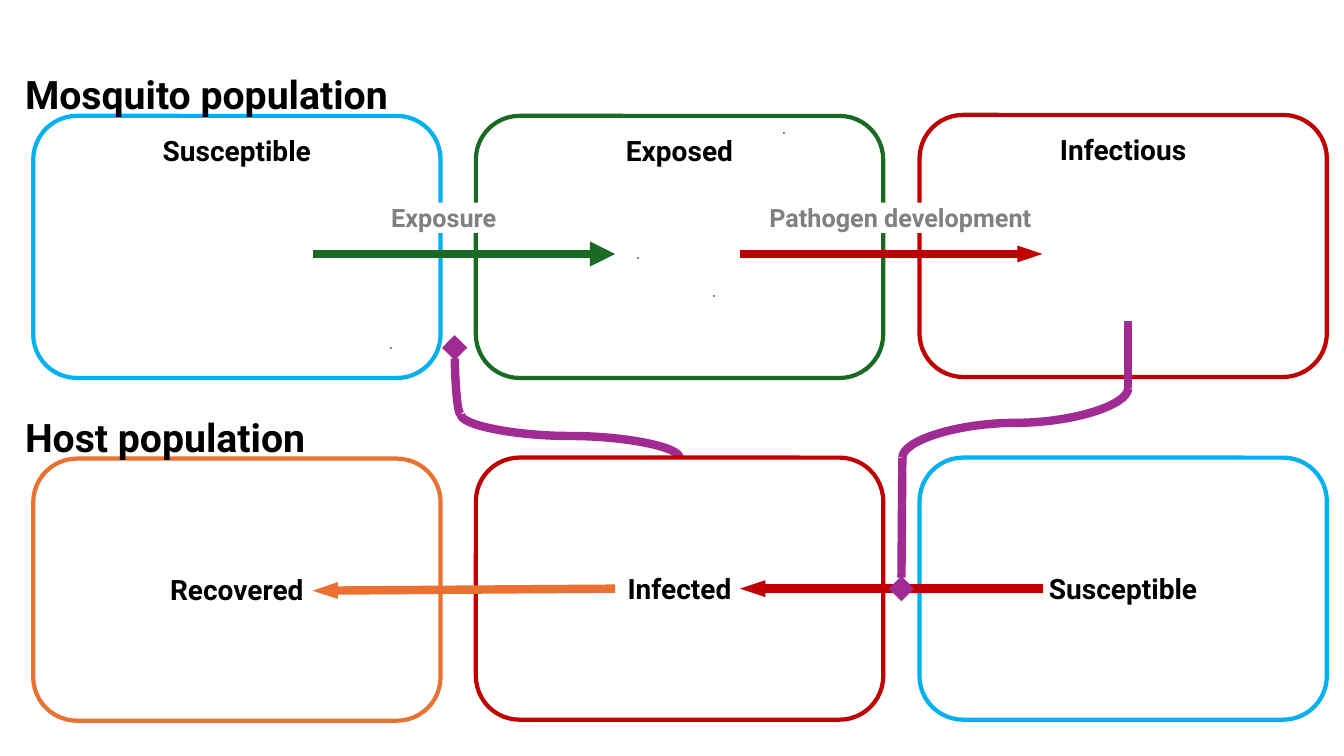
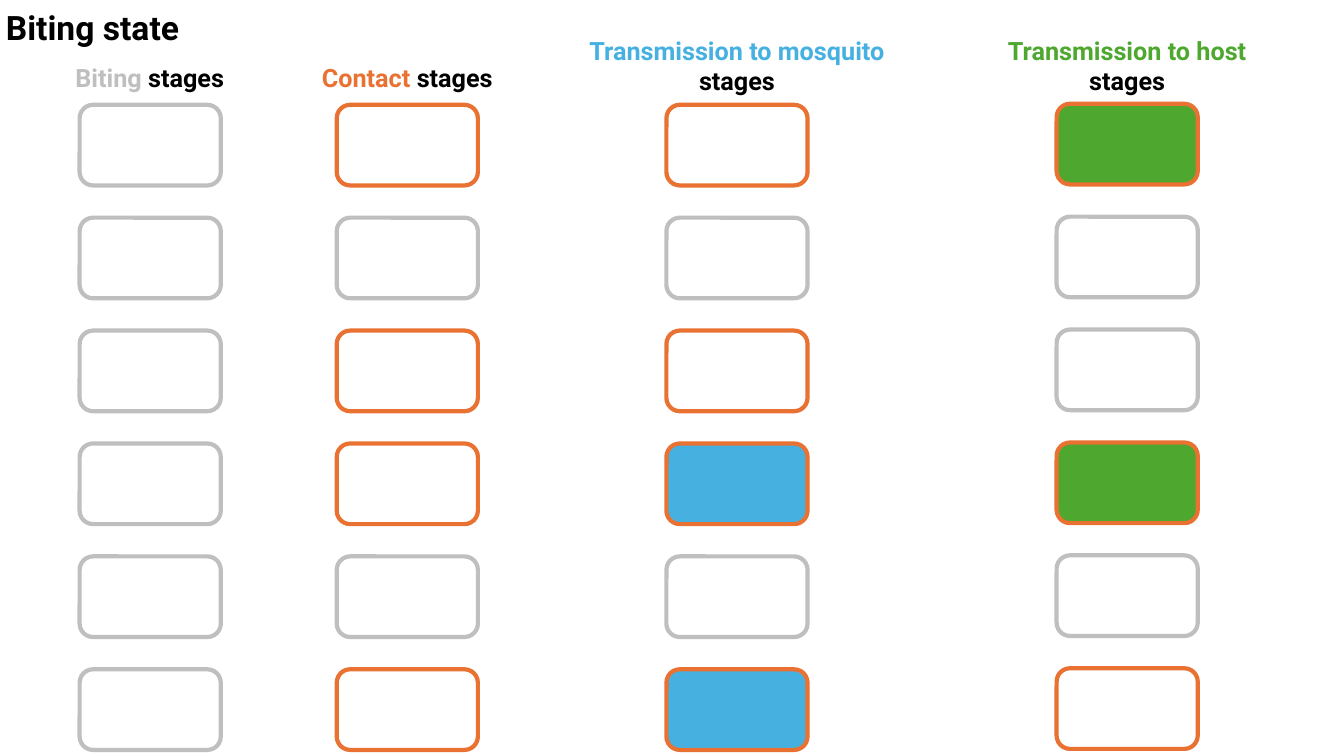
from lxml import etree
from pptx import Presentation
from pptx.dml.color import RGBColor
from pptx.enum.shapes import MSO_CONNECTOR, MSO_SHAPE
from pptx.enum.text import MSO_ANCHOR, MSO_AUTO_SIZE, PP_ALIGN
from pptx.oxml.ns import qn
from pptx.util import Inches, Pt

ROUNDED, RECTANGLE = MSO_SHAPE.ROUNDED_RECTANGLE, MSO_SHAPE.RECTANGLE
STRAIGHT, CURVE = MSO_CONNECTOR.STRAIGHT, MSO_CONNECTOR.CURVE
TOP, MIDDLE = MSO_ANCHOR.TOP, MSO_ANCHOR.MIDDLE
LEFT, CENTER = PP_ALIGN.LEFT, PP_ALIGN.CENTER

FONT = "Roboto"
BLACK, WHITE, GRAY, SILVER = "000000", "FFFFFF", "808080", "BFBFBF"
RED, ORANGE, PURPLE = "C00000", "E97132", "A02B93"
SKY, BLUE, GREEN, DARK_GREEN, NAVY = "00B0F0", "46B1E1", "4EA72E", "196B24", "092A39"


def add_box(shapes, kind, place, runs=(), size=20, fill=None, line=None, width=3,
            align=CENTER, anchor=TOP, wrap=True, inset=None):
    """Add a shape, or a text box if kind is None; runs are (text, colour) pairs."""
    place = [Inches(value) for value in place]
    if kind is None:
        shape = shapes.add_textbox(*place)
    else:
        shape = shapes.add_shape(kind, *place)
        shape.shadow.inherit = False
        if fill:
            shape.fill.solid()
            shape.fill.fore_color.rgb = RGBColor.from_string(fill)
        else:
            shape.fill.background()
        if line:
            shape.line.color.rgb = RGBColor.from_string(line)
            shape.line.width = Pt(width)
        else:
            shape.line.fill.background()
    if not runs:
        return
    frame = shape.text_frame
    frame.word_wrap = wrap
    frame.vertical_anchor = anchor
    if kind != ROUNDED:
        frame.auto_size = MSO_AUTO_SIZE.SHAPE_TO_FIT_TEXT
    if inset is not None:
        for side in ("left", "top", "right", "bottom"):
            setattr(frame, f"margin_{side}", Inches(inset))
    paragraph = frame.paragraphs[0]
    paragraph.alignment = align
    for text, color in runs:
        run = paragraph.add_run()
        run.text = text
        for name, value in {"name": FONT, "size": Pt(size), "bold": True}.items():
            setattr(run.font, name, value)
        run.font.color.rgb = RGBColor.from_string(color)


def add_line(shapes, start, end, color, head=None, head_width="med", kind=STRAIGHT,
             upright=False, preset=None):
    """Add a connector; an upright curve leaves and arrives vertically."""
    (x1, y1), (x2, y2) = start, end
    if upright:
        # Turn the end points a quarter back; the rotation below restores them.
        middle_x, middle_y = (x1 + x2) / 2, (y1 + y2) / 2
        half_x, half_y = (x1 - x2) / 2, (y1 - y2) / 2
        x1, y1 = middle_x + half_y, middle_y - half_x
        x2, y2 = middle_x - half_y, middle_y + half_x
    connector = shapes.add_connector(kind, Inches(x1), Inches(y1), Inches(x2), Inches(y2))
    connector.line.color.rgb = RGBColor.from_string(color)
    connector.line.width = Pt(6)
    properties = connector._element.spPr
    if upright:
        properties.find(qn("a:xfrm")).set("rot", str(90 * 60000))
    if preset:
        properties.find(qn("a:prstGeom")).set("prst", preset)
    if head:
        etree.SubElement(properties.find(qn("a:ln")), qn("a:tailEnd"),
                         type=head, w=head_width, len="med")
    etree.SubElement(properties, qn("a:effectLst"))


presentation = Presentation()
presentation.slide_width, presentation.slide_height = Inches(13.33), Inches(7.5)
blank = presentation.slide_layouts[6]

# Slide 1: mosquito and host compartments
shapes = presentation.slides.add_slide(blank).shapes
add_line(shapes, (6.74, 4.54), (4.57, 4.11), PURPLE, kind=CURVE, upright=True)

host_states = [
    (4.72, 4.54, "Infected", RED),
    (9.12, 4.54, "Susceptible", SKY),
    (0.33, 4.55, "Recovered", ORANGE),
]
mosquito_states = [
    (0.33, 1.15, "Susceptible", SKY),
    (4.72, 1.15, "Exposed", DARK_GREEN),
    (9.12, 1.14, "Infectious", RED),
]
for states, fill, anchor in ((host_states, WHITE, MIDDLE), (mosquito_states, None, TOP)):
    for left, top, name, color in states:
        add_box(shapes, ROUNDED, (left, top, 4.04, 2.6), [(name, BLACK)],
                fill=fill, line=color, anchor=anchor)

for top, title in ((0.65, "Mosquito population"), (4.05, "Host population")):
    add_box(shapes, None, (0.15, top, 3.9, 0.57), [(title, BLACK)], size=28,
            align=LEFT, wrap=False)

for start, end, color, head_width in (
    ((10.34, 5.84), (7.34, 5.84), RED, "sm"),
    ((6.1, 5.84), (3.1, 5.86), ORANGE, "sm"),
    ((3.1, 2.52), (6.1, 2.52), DARK_GREEN, "med"),
    ((7.34, 2.52), (10.34, 2.52), RED, "sm"),
):
    add_line(shapes, start, end, color, "triangle", head_width)

add_line(shapes, (8.95, 4.54), (8.94, 5.84), PURPLE, "diamond")
add_line(shapes, (8.95, 4.54), (11.19, 3.85), PURPLE, kind=CURVE, upright=True)
add_line(shapes, (11.19, 3.85), (11.19, 3.18), PURPLE)
add_line(shapes, (4.57, 4.11), (4.51, 3.45), PURPLE, "diamond", kind=CURVE,
         preset="curvedConnector2")

for left, width, label in ((3.88, 1.09, "Exposure"), (7.63, 2.71, "Pathogen development")):
    add_box(shapes, RECTANGLE, (left, 2.01, width, 0.3), [(label, GRAY)], size=18,
            fill=WHITE, align=LEFT, inset=0)

for left, top in ((7.78, 1.32), (3.88, 3.45), (6.33, 2.56), (7.08, 2.94)):
    add_box(shapes, RECTANGLE, (left, top, 0, 0), line=NAVY, width=1.5)

# Slide 2: stages of the biting state
shapes = presentation.slides.add_slide(blank).shapes
add_box(shapes, None, (-0.04, 0.02, 1.99, 0.5), [("Biting state", BLACK)], size=24,
        align=LEFT, wrap=False)

# Heading, its colour and place, box left and top, contact rows, filled rows
stage_columns = [
    ("Biting ", SILVER, (0.63, 0.57, 1.71, 0.4), 0.79, 1.04, (), ()),
    ("Contact ", ORANGE, (3.07, 0.57, 1.94, 0.4), 3.34, 1.04, (0, 2, 3, 5), ()),
    ("Transmission to mosquito ", BLUE, (5.74, 0.3, 3.14, 0.71), 6.61, 1.04,
     (0, 2, 3, 5), (3, 5)),
    ("Transmission to host ", GREEN, (9.61, 0.3, 3.14, 0.71), 10.48, 1.03,
     (0, 3, 5), (0, 3)),
]
for heading, color, place, left, top, contact_rows, filled_rows in stage_columns:
    column = shapes.add_group_shape().shapes
    add_box(column, None, place, [(heading, color), ("stages", BLACK)], size=18)
    for row in range(6):
        add_box(column, ROUNDED, (left, top + 1.12 * row, 1.4, 0.8),
                fill=color if row in filled_rows else None,
                line=ORANGE if row in contact_rows else SILVER)

presentation.save("out.pptx")
